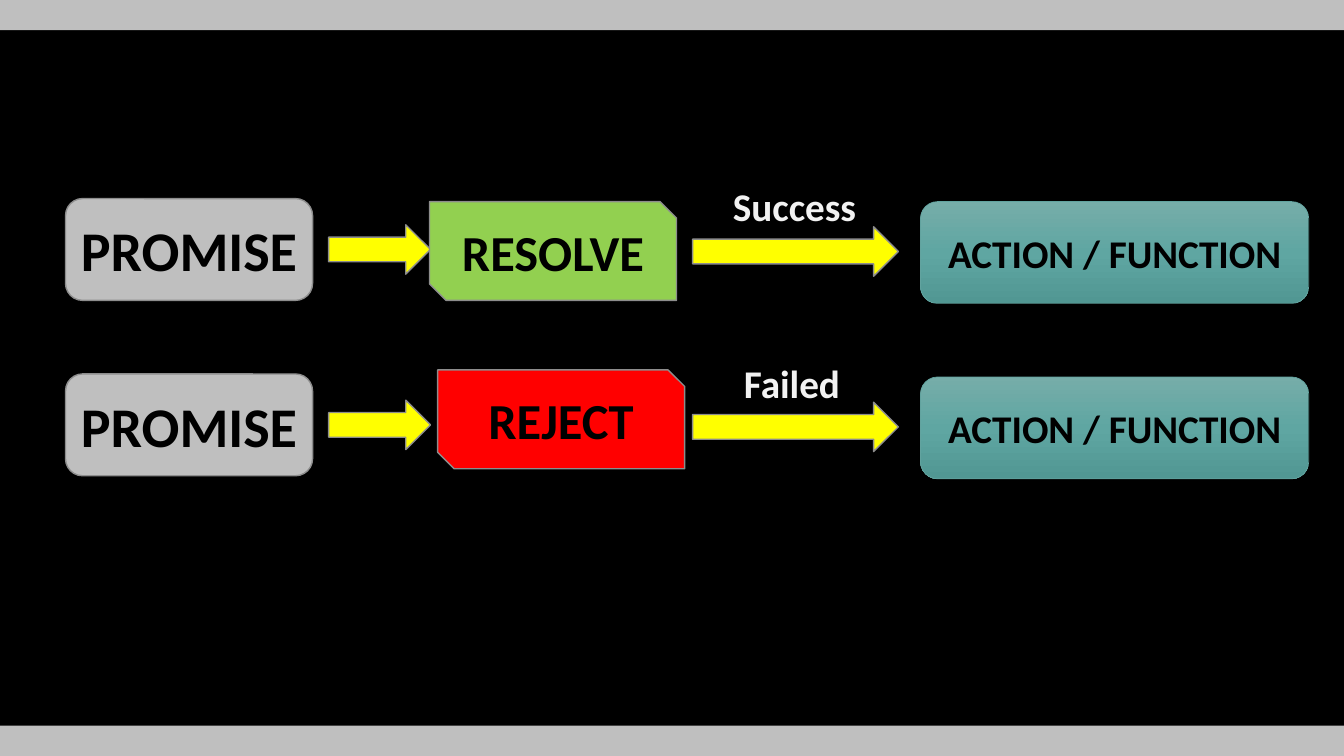
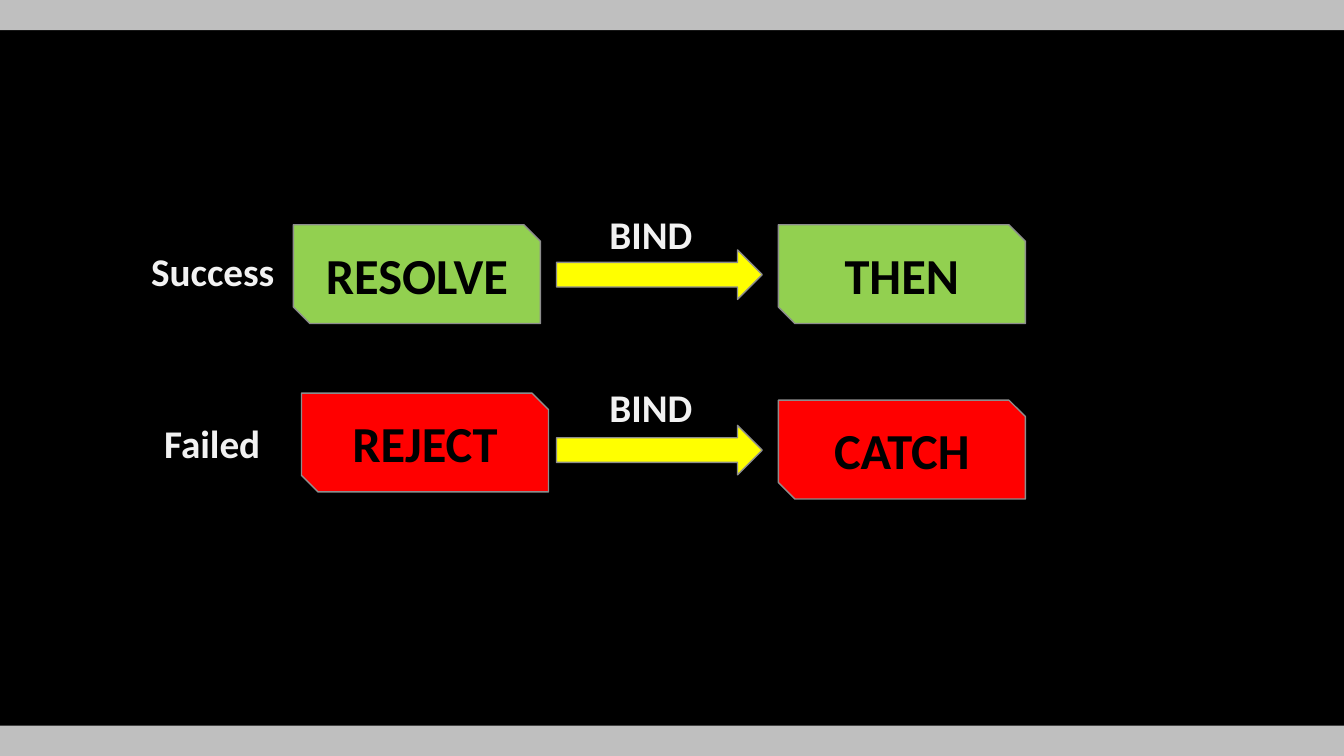
from copy import deepcopy

from pptx import Presentation
from pptx.dml.color import RGBColor
from pptx.enum.shapes import MSO_SHAPE
from pptx.enum.text import MSO_ANCHOR, MSO_AUTO_SIZE, PP_ALIGN
from pptx.util import Inches, Pt

BAR = MSO_SHAPE.RECTANGLE
ROUNDED = MSO_SHAPE.ROUNDED_RECTANGLE
SNIPPED = MSO_SHAPE.SNIP_2_DIAG_RECTANGLE
ARROW = MSO_SHAPE.RIGHT_ARROW
MIDDLE = MSO_ANCHOR.MIDDLE
CENTER = PP_ALIGN.CENTER
GROW = MSO_AUTO_SIZE.SHAPE_TO_FIT_TEXT

BLACK = RGBColor(0x00, 0x00, 0x00)
SILVER = RGBColor(0xBF, 0xBF, 0xBF)
OUTLINE = RGBColor(0x8D, 0x8D, 0x8D)
YELLOW = RGBColor(0xFF, 0xFF, 0x00)
GREEN = RGBColor(0x92, 0xD0, 0x50)
RED = RGBColor(0xFF, 0x00, 0x00)
OFF_WHITE = RGBColor(0xF2, 0xF2, 0xF2)
TEAL_LINE = RGBColor(0x62, 0xA3, 0x9F)
TEAL_STOPS = [
    RGBColor(0x76, 0xAD, 0xA9),
    RGBColor(0x5F, 0xA6, 0xA2),
    RGBColor(0x51, 0x97, 0x93),
]
FONT = "Calibri"
ROW_STEP = 1.74


def add_block(slide, kind, left, top, width, height, color, text="", size=36):
    block = slide.shapes.add_shape(
        kind, Inches(left), Inches(top), Inches(width), Inches(height))
    block.shadow.inherit = False
    block.fill.solid()
    block.fill.fore_color.rgb = color
    block.line.color.rgb = OUTLINE
    block.line.width = Pt(1)
    if text:
        block.text_frame.vertical_anchor = MIDDLE
        write(block.text_frame, text, size, BLACK)
    return block


def write(frame, text, size, color):
    paragraph = frame.paragraphs[0]
    paragraph.alignment = CENTER
    run = paragraph.add_run()
    run.text = text
    run.font.name = FONT
    run.font.size = Pt(size)
    run.font.bold = True
    run.font.color.rgb = color


prs = Presentation()
prs.slide_width = Inches(13.33)
prs.slide_height = Inches(7.5)
master = prs.slide_master
master.background.fill.solid()
master.background.fill.fore_color.rgb = BLACK

blank = prs.slide_layouts[6]
outcomes = prs.slides.add_slide(blank)
handlers = prs.slides.add_slide(blank)

for number, band_top in enumerate([7.2, 0]):
    band = add_block(outcomes, BAR, 0, band_top, 13.33, 0.3, SILVER)
    band.line.fill.background()
    band.element.nvSpPr.cNvPr.set("id", str(100 + number))
    master.shapes.element.insert(2 + number, band.element)

for row in range(2):
    shift = row * ROW_STEP
    add_block(outcomes, ROUNDED, 0.65, 1.97 + shift, 2.45, 1.01, SILVER, "PROMISE", 40)
    add_block(outcomes, ARROW, 3.26, 2.23 + shift, 1.01, 0.49, YELLOW)
    add_block(outcomes, ARROW, 6.87, 2.25 + shift, 2.04, 0.49, YELLOW)
    action = add_block(outcomes, ROUNDED, 9.13, 2 + shift, 3.85, 1.01,
                       TEAL_STOPS[0], "ACTION / FUNCTION", 28)
    action.line.color.rgb = TEAL_LINE
    action.line.width = Pt(0.5)
    action.fill.gradient()
    action.fill.gradient_angle = 270
    stop_list = action.element.spPr.gradFill.gsLst
    stop_list.insert(1, deepcopy(stop_list[0]))
    for stop, color, position in zip(action.fill.gradient_stops, TEAL_STOPS, (0, 0.5, 1)):
        stop.color.rgb = color
        stop.position = position
    add_block(handlers, ARROW, 5.52, 2.48 + shift, 2.04, 0.49, YELLOW)

for slide, left, top, color, state in [
    (outcomes, 4.26, 2, GREEN, "RESOLVE"),
    (outcomes, 4.34, 3.67, RED, "REJECT"),
    (handlers, 2.91, 2.23, GREEN, "RESOLVE"),
    (handlers, 2.99, 3.9, RED, "REJECT"),
    (handlers, 7.72, 2.23, GREEN, "THEN"),
    (handlers, 7.72, 3.97, RED, "CATCH"),
]:
    add_block(slide, SNIPPED, left, top, 2.45, 0.98, color, state)

for slide, left, top, width, caption in [
    (outcomes, 7.16, 1.76, 1.44, "Success"),
    (outcomes, 7.27, 3.52, 1.17, "Failed"),
    (handlers, 5.94, 2.04, 1.03, "BIND"),
    (handlers, 5.94, 3.75, 1.03, "BIND"),
    (handlers, 1.39, 2.4, 1.44, "Success"),
    (handlers, 1.52, 4.11, 1.17, "Failed"),
]:
    label = slide.shapes.add_textbox(
        Inches(left), Inches(top), Inches(width), Inches(0.57))
    label.text_frame.word_wrap = False
    label.text_frame.auto_size = GROW
    write(label.text_frame, caption, 28, OFF_WHITE)

prs.save("out.pptx")
